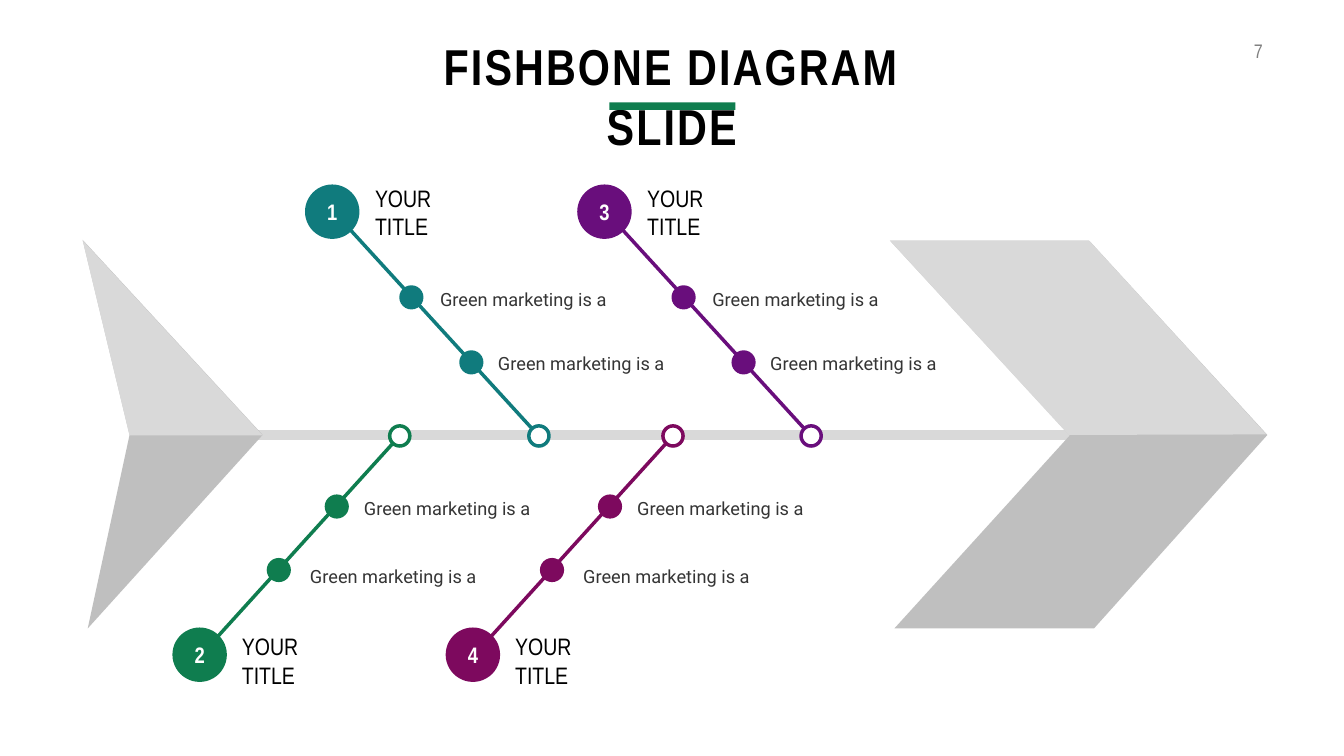
from lxml.etree import SubElement
from pptx import Presentation
from pptx.dml.color import RGBColor
from pptx.enum.shapes import MSO_CONNECTOR as Link, MSO_SHAPE as Form
from pptx.enum.text import MSO_ANCHOR as Anchor, MSO_AUTO_SIZE as Fit, PP_ALIGN as Align
from pptx.oxml.ns import qn
from pptx.util import Inches, Pt

rgb = RGBColor.from_string


def write(shape, text, size, face, color, bold=False, align=Align.LEFT, anchor=Anchor.MIDDLE):
    frame = shape.text_frame
    frame.word_wrap = True
    frame.auto_size = Fit.NONE
    frame.vertical_anchor = anchor
    frame.text = text
    para = frame.paragraphs[0]
    para.alignment = align
    font = para.font
    font.size, font.name, font.bold = Pt(size), face, bold
    font.color.rgb = rgb(color)
    return para


def paint(shape, fill, line=None):
    shape.shadow.inherit = False
    shape.fill.solid()
    shape.fill.fore_color.rgb = rgb(fill)
    if line:
        shape.line.color.rgb = rgb(line)
        shape.line.width = Pt(5)
    else:
        shape.line.fill.background()


NARROW, BODY = "Arial Narrow", "Roboto"
LIGHT, DARK, GREEN = "D9D9D9", "BFBFBF", "0F7D4F"

prs = Presentation()
prs.slide_width, prs.slide_height = Inches(26.66), Inches(15)
slide = prs.slides.add_slide(prs.slide_layouts[5])
shapes = slide.shapes

# Title with its green bar
title = shapes.title
title.left, title.top = Inches(7.36), Inches(0.64)
title.width, title.height = Inches(11.93), Inches(1.31)
para = write(title, "FISHBONE DIAGRAM SLIDE", 72, NARROW, "000000", True, Align.CENTER, Anchor.TOP)
para.runs[0]._r.get_or_add_rPr().set("spc", "300")
bar = shapes.add_shape(Form.RECTANGLE, Inches(12.09), Inches(2.03), Inches(2.5), Inches(0.15))
paint(bar, GREEN)

# Page number
page = shapes.add_textbox(Inches(24.31), Inches(0.72), Inches(0.84), Inches(0.57))
para = write(page, "7", 28, NARROW, "808080", align=Align.RIGHT, anchor=Anchor.TOP)
para.runs[0]._r.get_or_add_rPr().set("spc", "300")

# Bones: number, colour, shift, direction to the spine, head, tip, dots, notes, label
upper = (1, (6.59, 4.2), (10.69, 8.65), [(8.16, 5.9), (9.35, 7.19)],
         [(8.63, 5.61), (9.78, 6.87)], (7.34, 3.87))
lower = (-1, (3.96, 12.99), (7.93, 8.65), [(6.68, 10.05), (5.53, 11.31)],
         [(7.12, 9.76), (6.05, 11.1)], (4.7, 12.77))
bones = [("1", "107B7D", 0, upper), ("2", GREEN, 0, lower),
         ("3", "690E7C", 5.4, upper), ("4", "7D095E", 5.42, lower)]

# Spine and bone lines
lines = [(4.3, 8.63, 21.34, 8.63, LIGHT, 13)]
for num, color, shift, (way, head, tip, *rest) in bones:
    lines.append((head[0] + shift + 0.35, head[1] + way * 0.35,
                  tip[0] + shift - 0.04, tip[1] - way * 0.04, color, 5))
for x1, y1, x2, y2, color, width in lines:
    line = shapes.add_connector(Link.STRAIGHT, Inches(x1), Inches(y1), Inches(x2), Inches(y2))
    line.line.color.rgb = rgb(color)
    line.line.width = Pt(width)
    SubElement(line._element.spPr, qn("a:effectLst"))

# Circles and texts of each bone
for num, color, shift, (way, head, tip, dots, notes, label) in bones:
    rounds = [(head, 1.08, color, None), (tip, 0.4, "FFFFFF", color)]
    rounds += [(dot, 0.48, color, None) for dot in dots]
    for (x, y), size, fill, edge in rounds:
        disc = shapes.add_shape(Form.OVAL, Inches(x + shift - size / 2), Inches(y - size / 2),
                                Inches(size), Inches(size))
        paint(disc, fill, edge)
        if size > 1:
            write(disc, num, 32, NARROW, "FFFFFF", True, Align.CENTER)
    for x, y in notes:
        box = shapes.add_textbox(Inches(x + shift), Inches(y), Inches(3.72), Inches(0.58))
        write(box, "Green marketing is a", 26, BODY, "353535").line_spacing = Pt(37)
    box = shapes.add_textbox(Inches(label[0] + shift), Inches(label[1]), Inches(2.29), Inches(0.67))
    write(box, "YOUR TITLE", 34, NARROW, "000000")

# Head and tail: dark shapes below, light upper halves on top
fins = [
    (DARK, [(17.74, 12.47), (21.7, 12.47), (25.14, 8.63), (21.61, 4.78), (17.66, 4.78), (21.22, 8.64)]),
    (DARK, [(5.21, 8.63), (1.64, 4.76), (2.57, 8.63), (1.74, 12.47)]),
    (LIGHT, [(25.12, 8.62), (21.6, 4.77), (17.65, 4.77), (21.2, 8.63)]),
    (LIGHT, [(5.21, 8.64), (1.64, 4.77), (2.57, 8.64)]),
]
for color, points in fins:
    spots = [(Inches(x), Inches(y)) for x, y in points]
    pen = shapes.build_freeform(*spots[0])
    pen.add_line_segments(spots[1:], close=True)
    paint(pen.convert_to_shape(), color)

prs.save("out.pptx")
